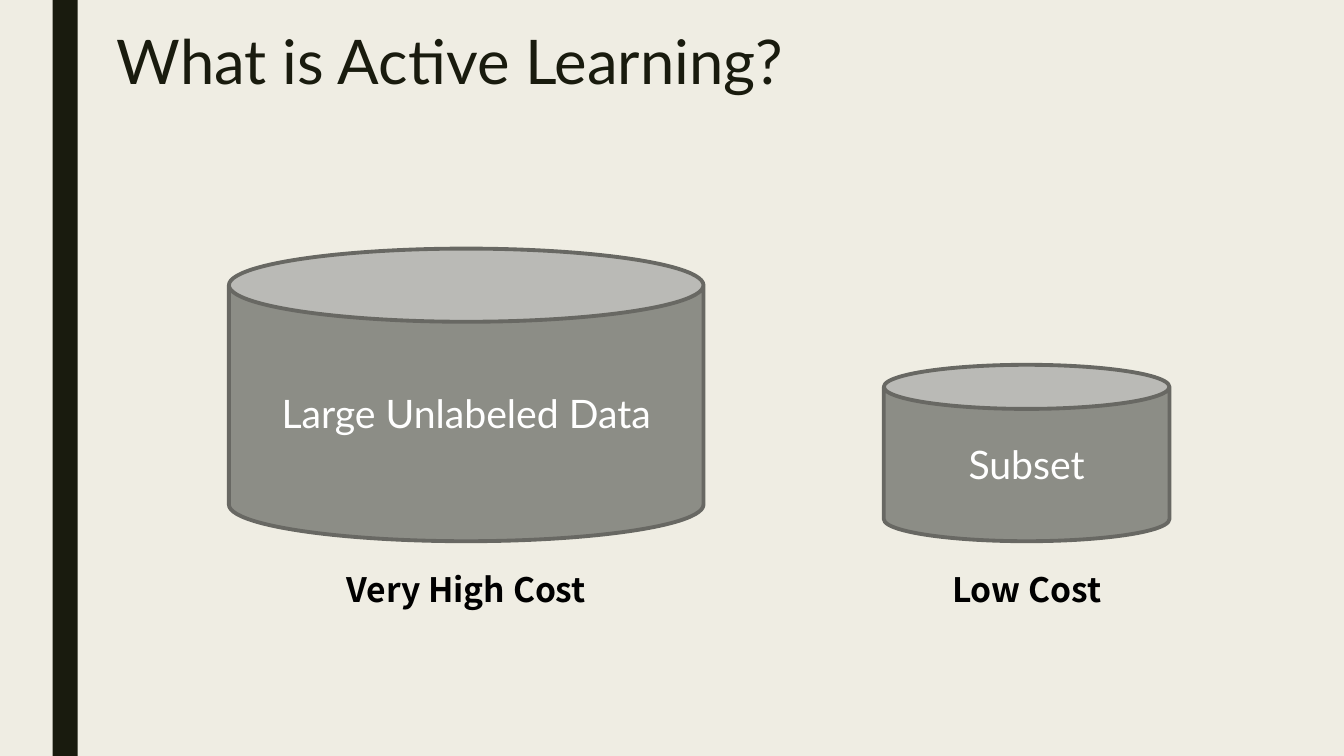
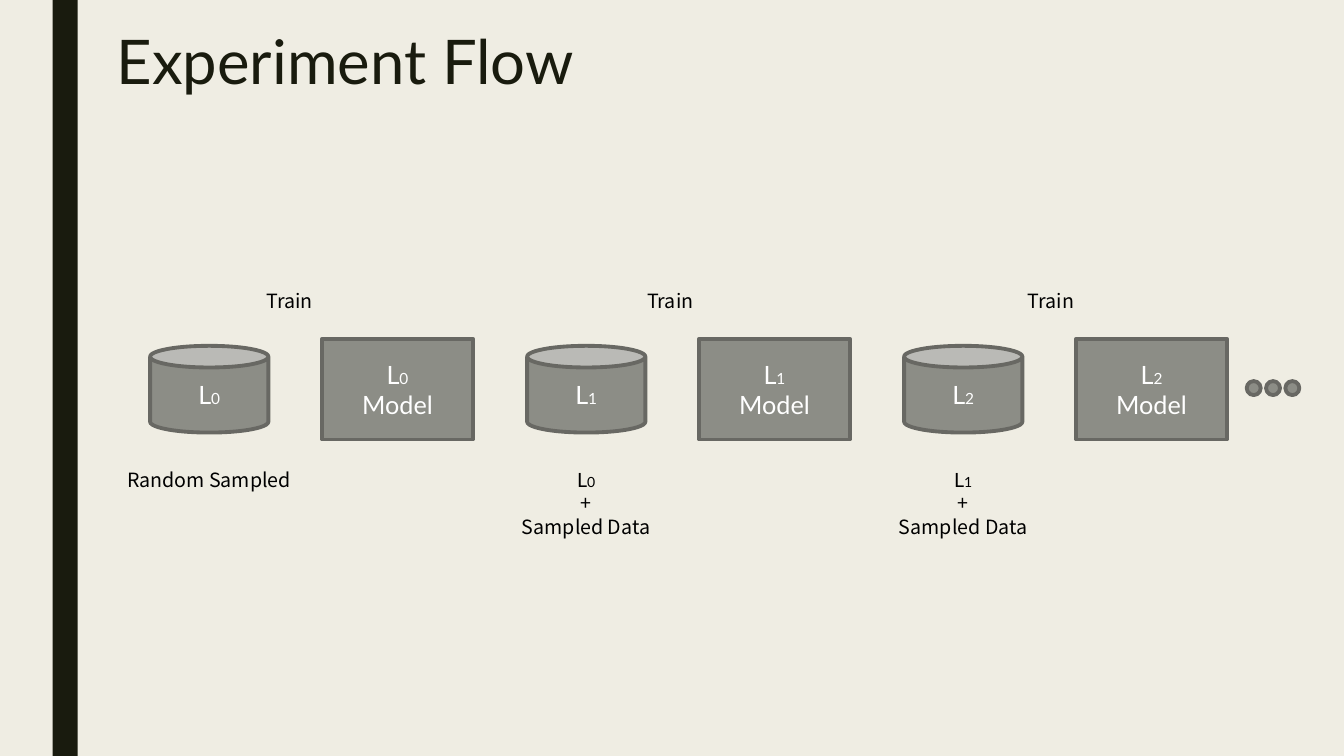
from pptx import Presentation
from pptx.dml.color import RGBColor
from pptx.enum.shapes import MSO_SHAPE
from pptx.enum.text import MSO_ANCHOR, PP_ALIGN
from pptx.util import Pt

CAN, BOX, DOT = MSO_SHAPE.CAN, MSO_SHAPE.RECTANGLE, MSO_SHAPE.OVAL
TOP, MIDDLE = MSO_ANCHOR.TOP, MSO_ANCHOR.MIDDLE
LEFT, CENTER = PP_ALIGN.LEFT, PP_ALIGN.CENTER

CREAM = RGBColor(0xEF, 0xED, 0xE3)
INK = RGBColor(0x19, 0x1B, 0x0E)
GRAY = RGBColor(0x8C, 0x8D, 0x86)
EDGE = RGBColor(0x68, 0x68, 0x63)
WHITE = RGBColor(0xFF, 0xFF, 0xFF)
BLACK = RGBColor(0, 0, 0)

LATIN = "Lato"
CAPTION_FONT = "Noto Sans CJK KR"


def write(frame, text, *, size, color, font=LATIN, index_size=11, bold=False,
          align=CENTER, anchor=TOP, spacing=None):
    """Fill a text frame; in a line such as L_0 the index becomes a smaller Lato run."""
    frame.word_wrap = True
    frame.vertical_anchor = anchor
    for number, line in enumerate(text.split("\n")):
        paragraph = frame.add_paragraph() if number else frame.paragraphs[0]
        paragraph.alignment = align
        if spacing:
            paragraph.line_spacing = spacing
        base, _, index = line.partition("_")
        for part, part_size in ((base, size), (index, index_size)):
            if part:
                run = paragraph.add_run()
                run.text = part
                run.font.name = LATIN if index else font
                run.font.size = Pt(part_size)
                run.font.bold = bold
                run.font.color.rgb = color


class Deck:
    def __init__(self):
        self.prs = Presentation()
        self.prs.slide_width, self.prs.slide_height = Pt(960), Pt(540)
        self.slide = None

    def new_slide(self, title):
        self.slide = self.prs.slides.add_slide(self.prs.slide_layouts[6])
        background = self.slide.background.fill
        background.solid()
        background.fore_color.rgb = CREAM
        self.shape(BOX, 37.5, 0, 18, 540, fill=INK, edge=None)
        self.text(title, 76.3, 19.4, 803.5, 62, size=44, color=INK,
                  align=LEFT, spacing=0.89)

    def shape(self, kind, left, top, width, height, text="", size=18,
              fill=GRAY, edge=EDGE):
        shape = self.slide.shapes.add_shape(
            kind, Pt(left), Pt(top), Pt(width), Pt(height))
        shape.shadow.inherit = False
        shape.fill.solid()
        shape.fill.fore_color.rgb = fill
        if edge is None:
            shape.line.fill.background()
        else:
            shape.line.color.rgb = edge
            shape.line.width = Pt(2.75)
        if text:
            write(shape.text_frame, text, size=size, color=WHITE, anchor=MIDDLE)

    def text(self, text, left, top, width, height, **style):
        box = self.slide.shapes.add_textbox(
            Pt(left), Pt(top), Pt(width), Pt(height))
        write(box.text_frame, text, **style)

    def caption(self, text, center, top, width, height, size=14, bold=False):
        self.text(text, center - width / 2, top, width, height, size=size,
                  bold=bold, color=BLACK, font=CAPTION_FONT, index_size=10)


def active_learning(deck):
    deck.new_slide("What is Active Learning?")
    floor = 386.6
    for label, cost, center, width, height in (
            ("Large Unlabeled Data", "Very High Cost", 333, 339, 209),
            ("Subset", "Low Cost", 733.3, 204, 126)):
        deck.shape(CAN, center - width / 2, floor - height, width, height,
                   label, size=28)
        deck.caption(cost, center, 402.5, 223, 36, size=24, bold=True)


def experiment_flow(deck):
    deck.new_slide("Experiment Flow")
    sources = ("Random Sampled", "L_0\n+\nSampled Data", "L_1\n+\nSampled Data")
    for step, source in enumerate(sources):
        left = 107.2 + 269.3 * step
        deck.shape(CAN, left, 247, 84.5, 62, f"L_{step}")
        deck.shape(BOX, left + 123, 242, 107.5, 72, f"L_{step}\nModel")
        deck.caption(source, left + 42.25, 330.5, 160, 24 + 17 * source.count("\n"))
        deck.caption("Train", 206.8 + 272 * step, 203, 160, 24)
    for dot in range(3):
        deck.shape(DOT, 890.5 + 13.8 * dot, 272.2, 10, 10)


def main():
    deck = Deck()
    active_learning(deck)
    experiment_flow(deck)
    deck.prs.save("out.pptx")


if __name__ == "__main__":
    main()
